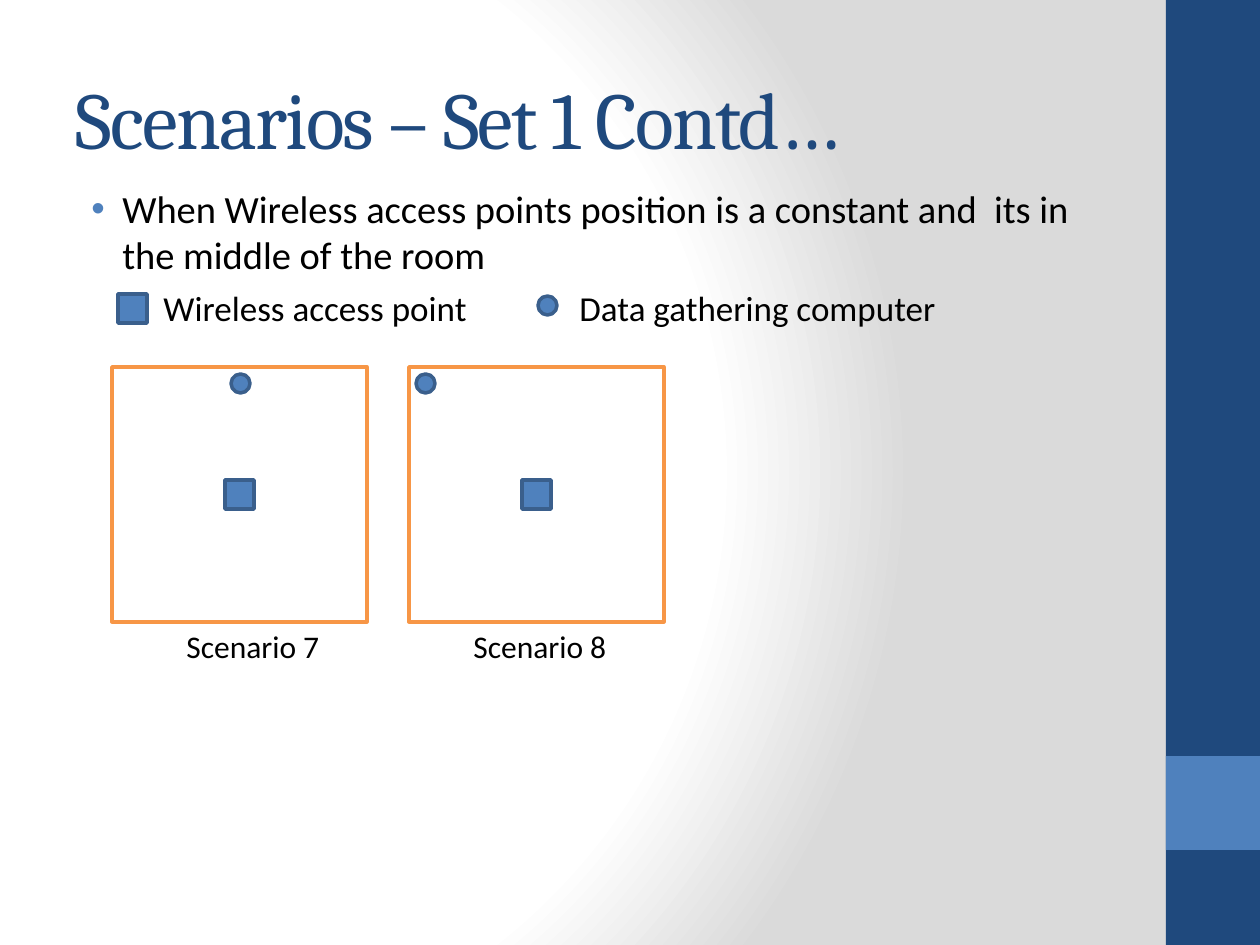
import dataclasses
import typing

import pptx
import pptx.dml.color
import pptx.enum.shapes
import pptx.enum.text
import pptx.oxml
import pptx.oxml.ns
import pptx.util

EMU_PER_PX = 914400 / 126
NAVY, BLUE, BLUE_EDGE = "1F497D", "4F81BD", "3A5F8C"
ORANGE, WHITE, BLACK = "F79646", "FFFFFF", "000000"
RECTANGLE = pptx.enum.shapes.MSO_SHAPE.RECTANGLE
OVAL = pptx.enum.shapes.MSO_SHAPE.OVAL
ACCESS_POINT, COMPUTER, ROOM = 29, 19, 255
ROOM_TOP = 367
CAPTION_TOP = 621
LEGEND_TOP = 280


@dataclasses.dataclass
class Scenario:
    caption: str
    left: int
    computer_left: int
    caption_left: int


@dataclasses.dataclass
class LegendEntry:
    label: str
    label_left: int
    draw_marker: typing.Callable
    marker_left: int
    marker_top: int


SCENARIOS = [
    Scenario("Scenario 7", 112, 231, 174),
    Scenario("Scenario 8", 409, 416, 461),
]


def px(length: int) -> pptx.util.Emu:
    return pptx.util.Emu(round(length * EMU_PER_PX))


def color(value: str) -> pptx.dml.color.RGBColor:
    return pptx.dml.color.RGBColor.from_string(value)


def add_block(slide, kind, left: int, top: int, width: int, height: int,
              fill: str, line: str | None = None) -> None:
    shape = slide.shapes.add_shape(kind, px(left), px(top), px(width), px(height))
    shape.shadow.inherit = False
    shape.fill.solid()
    shape.fill.fore_color.rgb = color(fill)
    if line:
        shape.line.color.rgb = color(line)
        shape.line.width = pptx.util.Pt(2)
    else:
        shape.line.fill.background()


def add_access_point(slide, left: int, top: int) -> None:
    add_block(slide, RECTANGLE, left, top, ACCESS_POINT, ACCESS_POINT, BLUE, BLUE_EDGE)


def add_computer(slide, left: int, top: int) -> None:
    add_block(slide, OVAL, left, top, COMPUTER, COMPUTER, BLUE, BLUE_EDGE)


LEGEND = [
    LegendEntry("Wireless access point", 151, add_access_point, 118, 294),
    LegendEntry("Data gathering computer", 567, add_computer, 538, 296),
]


def write(para, text: str, size: int, font: str = "Calibri", ink: str = BLACK) -> None:
    para.text = text
    for span in para.runs:
        span.font.name = font
        span.font.size = pptx.util.Pt(size)
        span.font.color.rgb = color(ink)


def add_text(slide, left: int, top: int, width: int, height: int,
             text: str, size: int):
    """Add a wrapping text box and return its paragraph."""
    box = slide.shapes.add_textbox(px(left), px(top), px(width), px(height))
    box.text_frame.word_wrap = True
    para = box.text_frame.paragraphs[0]
    write(para, text, size)
    return para


def add_bullet(para, ink: str, margin: int, hanging: int) -> None:
    namespace = pptx.oxml.ns.nsdecls("a")
    properties = para._p.get_or_add_pPr()
    properties.set("marL", str(px(margin)))
    properties.set("indent", str(-px(hanging)))
    for element in (
        f'<a:buClr {namespace}><a:srgbClr val="{ink}"/></a:buClr>',
        f'<a:buFont {namespace} typeface="Arial"/>',
        f'<a:buChar {namespace} char="•"/>',
    ):
        properties.append(pptx.oxml.parse_xml(element))


def paint_background(slide) -> None:
    """Fill the slide with a white glow that fades to grey on the right."""
    fill = slide.background.fill
    fill.solid()
    fill.fore_color.rgb = color(WHITE)
    solid = slide.background._cSld.bg.bgPr.find(pptx.oxml.ns.qn("a:solidFill"))
    stops = "".join(
        f'<a:gs pos="{percent * 1000}"><a:srgbClr val="{tone}"/></a:gs>'
        for percent, tone in ((0, WHITE), (75, WHITE), (100, "DADADA"))
    )
    gradient = pptx.oxml.parse_xml(
        f'<a:gradFill {pptx.oxml.ns.nsdecls("a")} rotWithShape="1">'
        f'<a:gsLst>{stops}</a:gsLst><a:path path="circle">'
        '<a:fillToRect l="20000" t="50000" r="100000" b="50000"/>'
        "</a:path></a:gradFill>"
    )
    solid.getparent().replace(solid, gradient)


def add_title(slide) -> None:
    title = slide.shapes.title
    title.left, title.top, title.width, title.height = px(63), px(38), px(1050), px(158)
    title.text_frame.vertical_anchor = pptx.enum.text.MSO_ANCHOR.MIDDLE
    para = title.text_frame.paragraphs[0]
    para.alignment = pptx.enum.text.PP_ALIGN.LEFT
    write(para, "Scenarios – Set 1 Contd…", 46, "Cambria", NAVY)
    para.runs[0].font._element.set("spc", "-100")


def add_intro(slide) -> None:
    para = add_text(
        slide, 63, 179, 1050, 106,
        "When Wireless access points position is a constant and  its in "
        "the middle of the room", 22)
    add_bullet(para, BLUE, 47, 31)


def add_legend_entry(slide, entry: LegendEntry) -> None:
    add_text(slide, entry.label_left, LEGEND_TOP, 400, 55, entry.label, 20)
    entry.draw_marker(slide, entry.marker_left, entry.marker_top)


def add_scenario(slide, scenario: Scenario) -> None:
    inset = (ROOM - ACCESS_POINT) // 2
    add_block(slide, RECTANGLE, scenario.left, ROOM_TOP, ROOM, ROOM, WHITE, ORANGE)
    add_computer(slide, scenario.computer_left, ROOM_TOP + 7)
    add_access_point(slide, scenario.left + inset, ROOM_TOP + inset)
    add_text(slide, scenario.caption_left, CAPTION_TOP, 200, 50, scenario.caption, 18)


def main() -> None:
    deck = pptx.Presentation()
    deck.slide_width, deck.slide_height = px(1260), px(945)
    slide = deck.slides.add_slide(deck.slide_layouts[5])
    paint_background(slide)
    add_block(slide, RECTANGLE, 1166, 0, 94, 945, NAVY)
    add_block(slide, RECTANGLE, 1166, 756, 94, 94, BLUE)
    add_title(slide)
    add_intro(slide)
    for entry in LEGEND:
        add_legend_entry(slide, entry)
    for scenario in SCENARIOS:
        add_scenario(slide, scenario)
    deck.save("out.pptx")


if __name__ == "__main__":
    main()
